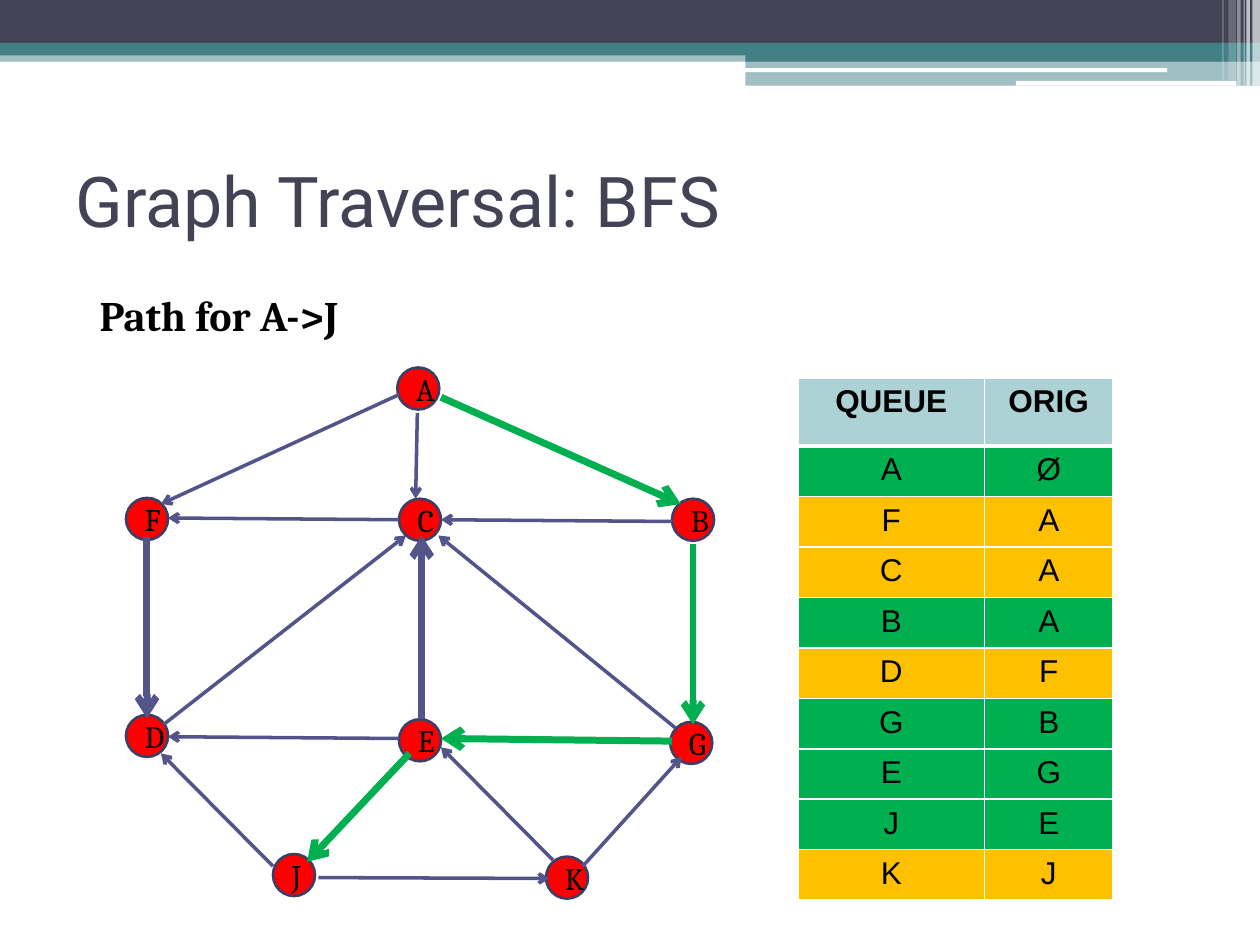
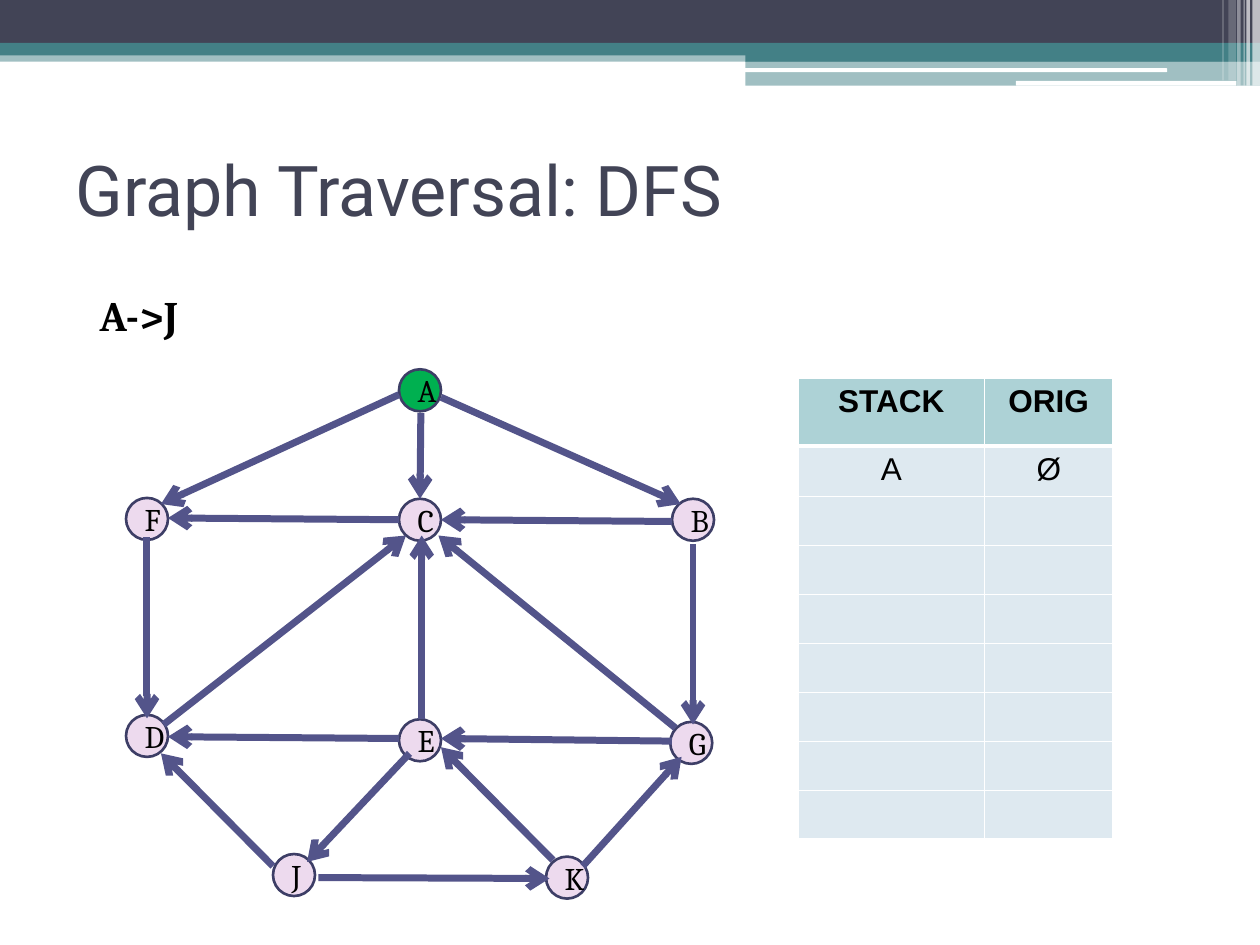
from dataclasses import dataclass, field

from lxml.etree import SubElement
from pptx import Presentation
from pptx.dml.color import RGBColor
from pptx.enum.shapes import MSO_CONNECTOR, MSO_SHAPE
from pptx.enum.text import MSO_ANCHOR, MSO_AUTO_SIZE, PP_ALIGN
from pptx.oxml.ns import qn
from pptx.slide import Slide, SlideLayout
from pptx.util import Pt

RECT, ROUND, OVAL = MSO_SHAPE.RECTANGLE, MSO_SHAPE.ROUNDED_RECTANGLE, MSO_SHAPE.OVAL
STRAIGHT = MSO_CONNECTOR.STRAIGHT
LEFT, CENTER = PP_ALIGN.LEFT, PP_ALIGN.CENTER
MIDDLE, NO_FIT = MSO_ANCHOR.MIDDLE, MSO_AUTO_SIZE.NONE

# Colours and fonts
WHITE, BLACK = "FFFFFF", "000000"
SLATE, TEAL = "424456", "438086"
RIM, EDGE = "3D3E66", "53548A"
RED, PINK, GREEN, GOLD = "FF0000", "EDDAEE", "00B050", "FFC000"
HEAD, PALE = "ADD2D6", "DEE9F0"
SANS, SERIF, TITLE = "Arial", "Cambria", "Roboto"

# Sizes in points
NODE = 24
THIN, THICK = 2, 4
COLS = (106.6, 73.4)
HEAD_ROW, TEXT_ROW, BARE_ROW = 38.9, 27.4, 28


@dataclass
class Band:
    left: float
    top: float
    width: float
    height: float
    color: str = WHITE
    alpha: int = 100
    kind: int = RECT


@dataclass
class Page:
    title: str
    top: float
    goal: str
    node: str
    start: tuple[float, float]
    drop: tuple[float, float, float, float]
    head: tuple[str, str]
    rows: list[str]
    row_fill: str
    thin: float
    start_fill: str
    route: set[str] = field(default_factory=set)
    bold: set[str] = field(default_factory=set)


BANDS = [
    Band(0, 28.8, 720, 6.5, TEAL, 50),
    Band(0, 0, 720, 24.5, SLATE),
    Band(0, 24.5, 720, 7.2, TEAL),
    Band(426, 28, 294, 7.2, TEAL),
    Band(426, 35, 294, 14, TEAL, 50),
    Band(425.5, 39, 241.5, 2.2, kind=ROUND),
    Band(580.5, 46.2, 126, 2.7, kind=ROUND),
    Band(715.7, 0, 4.3, 49, alpha=65),
    Band(712.2, 0, 2, 49, alpha=65),
    Band(710.6, 0, 0.7, 49, alpha=60),
    Band(707, 0, 2, 49, alpha=40),
    Band(702, 0, 4.3, 46, alpha=20),
    Band(698.5, 0, 0.7, 46, alpha=30),
]

# Top left corner of each node; A differs by page
NODES = {
    "C": (228, 285), "E": (228, 411), "G": (383, 412.5), "B": (384, 285),
    "F": (72, 284.5), "D": (72, 408.5), "K": (312, 489.5), "J": (156, 488),
}

# Ends of each arrow, named by its two nodes; AC differs by page
EDGES = {
    "EC": (241, 411, 241, 306), "AB": (252, 227, 389, 288),
    "DC": (93.5, 414, 232, 306), "FD": (84, 307, 84, 410.5),
    "CF": (228, 297, 96, 296), "JK": (182, 501.5, 314, 502),
    "AF": (228, 225.5, 92, 288), "JD": (156, 495, 92, 430.5),
    "KG": (333, 495, 389.5, 432.5), "EJ": (234, 430.5, 175.5, 492.5),
    "KE": (316, 491.5, 252, 427), "BC": (384, 298, 252, 297),
    "BG": (396, 311, 396, 414), "GC": (386, 416, 250.5, 306),
    "ED": (228, 422, 96, 421), "GE": (384, 423.5, 252, 422),
}

# Each row of a page's table is a node and the node it was reached from
PAGES = [
    Page("Graph Traversal: BFS", 72, "Path for A->J", RED, (227, 210),
         (238.5, 236, 237.5, 285), ("QUEUE", "ORIG"),
         ["AØ", "FA", "CA", "BA", "DF", "GB", "EG", "JE", "KJ"],
         GOLD, THIN, RED, {"AB", "BG", "GE", "EJ"}, {"EC", "FD"}),
    Page("Graph Traversal: DFS", 66, "A->J", PINK, (228, 211),
         (240.5, 236, 240, 285), ("STACK", "ORIG"),
         ["AØ"] + [""] * 7, PALE, THICK, GREEN),
]


def rgb(color: str) -> RGBColor:
    return RGBColor.from_string(color)


def paint(item, color: str) -> None:
    item.fill.solid()
    item.fill.fore_color.rgb = rgb(color)


def write(frame, text: str, size: float, font: str, color: str = BLACK,
          bold: bool = False, align=CENTER) -> None:
    frame.text = text
    para = frame.paragraphs[0]
    para.alignment = align
    for run in para.runs:
        run.font.size, run.font.name, run.font.bold = Pt(size), font, bold
        run.font.color.rgb = rgb(color)


def add_bands(slide: Slide, layout: SlideLayout) -> None:
    """Build the bands and place them on the layout that all slides use."""
    for num, band in enumerate(BANDS, 20):
        shape = slide.shapes.add_shape(
            band.kind, Pt(band.left), Pt(band.top), Pt(band.width), Pt(band.height))
        shape.shadow.inherit = False
        shape.line.fill.background()
        paint(shape, band.color)
        if band.alpha < 100:
            tint = shape.element.spPr.find(".//" + qn("a:srgbClr"))
            SubElement(tint, qn("a:alpha"), val=str(band.alpha * 1000))
        shape.element.nvSpPr.cNvPr.set("id", str(num))
        layout.shapes.element.append(shape.element)


def add_heads(slide: Slide, page: Page) -> None:
    title = slide.shapes.title
    title.left, title.top, title.width, title.height = (
        Pt(36), Pt(page.top), Pt(648), Pt(84))
    frame = title.text_frame
    write(frame, page.title, 40, TITLE, SLATE, align=LEFT)
    frame.auto_size, frame.vertical_anchor = NO_FIT, MIDDLE

    goal = slide.shapes.add_textbox(Pt(36), Pt(162), Pt(648), Pt(378)).text_frame
    goal.word_wrap = True
    goal.margin_left = Pt(21)
    write(goal, page.goal, 24, SERIF, bold=True, align=LEFT)
    goal.paragraphs[0].space_before = Pt(3)


def add_node(slide: Slide, name: str, spot: tuple[float, float], color: str) -> None:
    left, top = spot
    node = slide.shapes.add_shape(OVAL, Pt(left), Pt(top), Pt(NODE), Pt(NODE))
    node.shadow.inherit = False
    paint(node, color)
    node.line.color.rgb, node.line.width = rgb(RIM), Pt(1.5)
    write(node.text_frame, name, 18, SERIF)


def add_edge(slide: Slide, ends: tuple[float, float, float, float],
             color: str, width: float) -> None:
    edge = slide.shapes.add_connector(STRAIGHT, *(Pt(end) for end in ends))
    edge.line.color.rgb, edge.line.width = rgb(color), Pt(width)
    props = edge.element.spPr
    SubElement(props.find(qn("a:ln")), qn("a:tailEnd"), type="arrow")
    SubElement(props, qn("a:effectLst"))


def add_graph(slide: Slide, page: Page) -> None:
    for name, spot in NODES.items():
        add_node(slide, name, spot, page.node)
    add_node(slide, "A", page.start, page.start_fill)
    for name, ends in (EDGES | {"AC": page.drop}).items():
        wide = name in page.route | page.bold
        add_edge(slide, ends, GREEN if name in page.route else EDGE,
                 THICK if wide else page.thin)


def add_rules(cell, top: float, base: float) -> None:
    props = cell._tc.get_or_add_tcPr()
    for side, width in zip("LRTB", (1, 1, top, base)):
        rule = SubElement(props, qn("a:ln" + side), w=str(Pt(width)))
        fill = SubElement(rule, qn("a:solidFill"))
        SubElement(fill, qn("a:srgbClr"), val=WHITE)


def add_grid(slide: Slide, page: Page) -> None:
    rows = [page.head, *page.rows]
    highs = [HEAD_ROW] + [TEXT_ROW if row else BARE_ROW for row in page.rows]
    table = slide.shapes.add_table(
        len(rows), len(COLS), Pt(456), Pt(216), Pt(sum(COLS)), Pt(sum(highs))).table
    for col, width in zip(table.columns, COLS):
        col.width = Pt(width)
    # Nodes on the route, from the first to the last, are marked green
    found = set("".join(page.route))
    for i, (row, high) in enumerate(zip(rows, highs)):
        table.rows[i].height = Pt(high)
        color = HEAD if i == 0 else GREEN if row and row[0] in found else page.row_fill
        for j in range(len(COLS)):
            cell = table.cell(i, j)
            add_rules(cell, 3 if i == 1 else 1, 3 if i == 0 else 1)
            paint(cell, color)
            if row:
                write(cell.text_frame, row[j], 18, SANS, bold=i == 0)
            else:
                cell.margin_top = cell.margin_bottom = 0


def main() -> None:
    deck = Presentation()
    deck.slide_width, deck.slide_height = Pt(720), Pt(540)
    layout = deck.slide_layouts[5]
    for i, page in enumerate(PAGES):
        slide = deck.slides.add_slide(layout)
        if i == 0:
            add_bands(slide, layout)
        add_heads(slide, page)
        add_graph(slide, page)
        add_grid(slide, page)
    deck.save("out.pptx")


if __name__ == "__main__":
    main()
